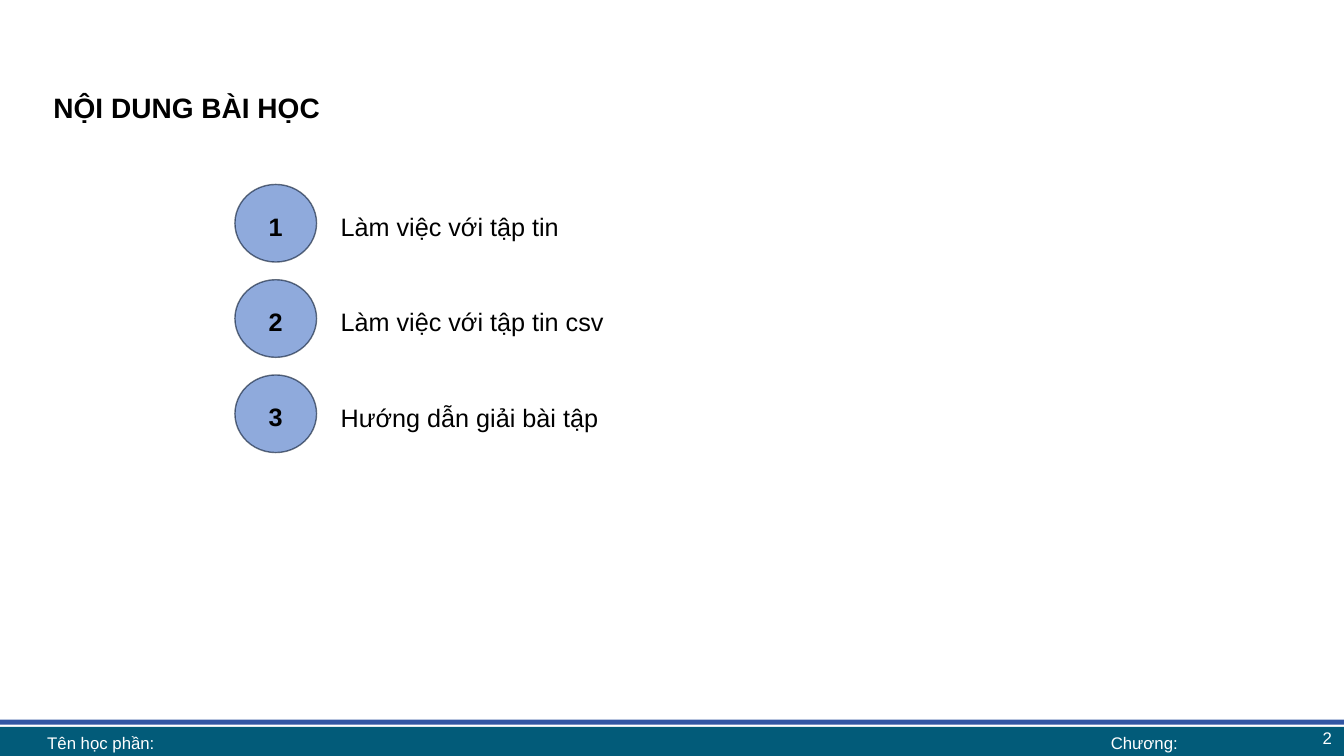
import pptx
import pptx.util
import pptx.dml.color
import pptx.enum.shapes
import pptx.enum.text
import pptx.oxml.ns
import lxml.etree

Inches, Pt = pptx.util.Inches, pptx.util.Pt
RGBColor = pptx.dml.color.RGBColor
MSO_SHAPE = pptx.enum.shapes.MSO_SHAPE
ALIGN = pptx.enum.text.PP_ALIGN
ANCHOR = pptx.enum.text.MSO_ANCHOR

BLACK = RGBColor(0x00, 0x00, 0x00)
WHITE = RGBColor(0xFF, 0xFF, 0xFF)
TEAL = RGBColor(0x02, 0x5B, 0x79)
BLUE = RGBColor(0x32, 0x56, 0xA4)
BADGE = RGBColor(0x8F, 0xAA, 0xDC)
OUTLINE = RGBColor(0x08, 0x17, 0x2E)

FONT = "Arial"
WIDTH, HEIGHT = 13.33, 7.5

# Agenda grid: badge column, text column, equal rows
BADGE_X, BADGE_W, BADGE_H = 2.33, 0.81, 0.77
TEXT_X, TEXT_W, TEXT_H = 3.28, 7.57, 0.42
FIRST_ROW, ROW_STEP, TEXT_DROP = 1.83, 0.945, 0.17
TOPICS = ["Làm việc với tập tin", "Làm việc với tập tin csv", "Hướng dẫn giải bài tập"]

FOOTER_Y, FOOTER_H = 7.21, 0.31


def write(tf, text, size, color, align, bold=False, spacing=None, before=0,
          anchor=ANCHOR.TOP):
    tf.word_wrap = True
    tf.auto_size = pptx.enum.text.MSO_AUTO_SIZE.NONE
    tf.vertical_anchor = anchor
    p = tf.paragraphs[0]
    p.alignment = align
    p.space_before = Pt(before)
    if spacing:
        p.line_spacing = spacing
    r = p.add_run()
    r.text = text
    r.font.name = FONT
    r.font.size = Pt(size)
    r.font.bold = bold
    r.font.color.rgb = color


def add_shape(s, kind, x, y, w, h, fill):
    sp = s.shapes.add_shape(kind, Inches(x), Inches(y), Inches(w), Inches(h))
    sp.shadow.inherit = False
    sp.fill.solid()
    sp.fill.fore_color.rgb = fill
    sp.line.fill.background()
    return sp


def add_text(s, x, y, w, h):
    return s.shapes.add_textbox(Inches(x), Inches(y), Inches(w), Inches(h)).text_frame


def add_title(s, text):
    sp = s.shapes.title
    sp.left, sp.top, sp.width, sp.height = map(Inches, (0.43, 0.78, 12.47, 0.87))
    write(sp.text_frame, text, 20, BLACK, ALIGN.JUSTIFY, True, 1.2, 5)


def add_badge(s, y, number):
    sp = add_shape(s, MSO_SHAPE.OVAL, BADGE_X, y, BADGE_W, BADGE_H, BADGE)
    sp.line.color.rgb = OUTLINE
    sp.line.width = Pt(1)
    # Outline at 60 % opacity
    qn = pptx.oxml.ns.qn
    color = sp.line._get_or_add_ln().find(".//" + qn("a:srgbClr"))
    lxml.etree.SubElement(color, qn("a:alpha"), val="60000")
    write(sp.text_frame, str(number), 18, BLACK, ALIGN.CENTER, True, 1.2, 5, ANCHOR.MIDDLE)


def add_topic(s, row, text):
    y = FIRST_ROW + row * ROW_STEP
    add_badge(s, y, row + 1)
    tf = add_text(s, TEXT_X, y + TEXT_DROP, TEXT_W, TEXT_H)
    write(tf, text, 18, BLACK, ALIGN.JUSTIFY, spacing=Pt(25), before=5)


def add_footer_label(s, x, y, w, h, text, align):
    tf = add_text(s, x, y, w, h)
    tf.margin_top = tf.margin_bottom = 0
    write(tf, text, 12, WHITE, align, anchor=ANCHOR.MIDDLE)


def main():
    prs = pptx.Presentation()
    prs.slide_width, prs.slide_height = Inches(WIDTH), Inches(HEIGHT)
    s = prs.slides.add_slide(prs.slide_layouts[5])

    # Footer bars
    add_shape(s, MSO_SHAPE.RECTANGLE, 0, FOOTER_Y, WIDTH, FOOTER_H, TEAL)
    add_shape(s, MSO_SHAPE.RECTANGLE, 0, 7.14, WIDTH, 0.05, BLUE)

    # Title and agenda
    add_title(s, "NỘI DUNG BÀI HỌC")
    for row, topic in enumerate(TOPICS):
        add_topic(s, row, topic)

    # Footer text
    add_footer_label(s, 0.37, FOOTER_Y, 10.24, FOOTER_H, "Tên học phần:", ALIGN.LEFT)
    add_footer_label(s, 10.6, FOOTER_Y, 1.5, FOOTER_H, "Chương:", ALIGN.CENTER)
    add_footer_label(s, 10.31, 7.14, 3, 0.35, "2", ALIGN.RIGHT)

    prs.save("out.pptx")


if __name__ == "__main__":
    main()
